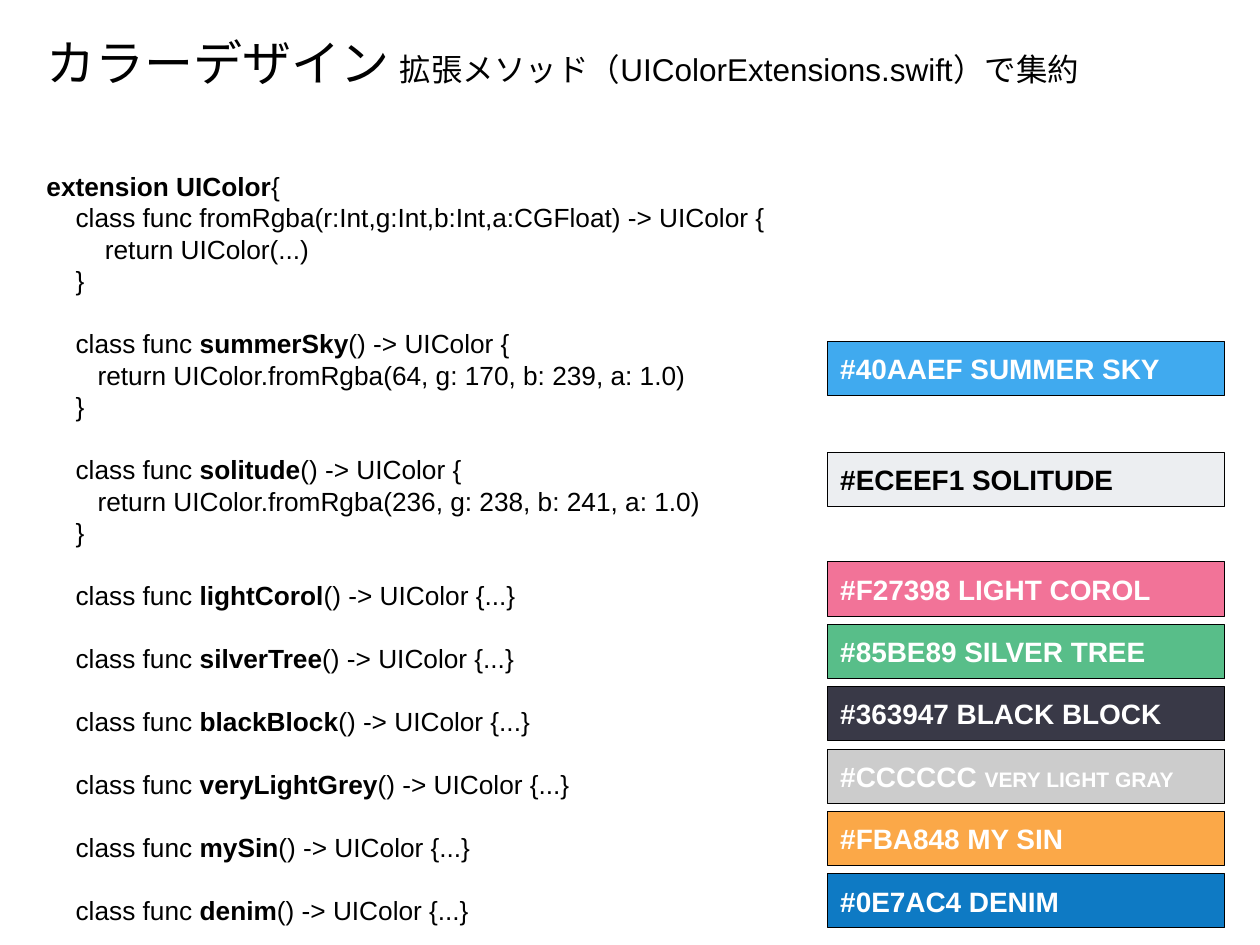
from dataclasses import dataclass

from pptx import Presentation
from pptx.dml.color import RGBColor
from pptx.enum.shapes import MSO_SHAPE
from pptx.enum.text import MSO_ANCHOR, PP_ALIGN
from pptx.slide import Slide
from pptx.text.text import TextFrame, _Paragraph
from pptx.util import Inches, Pt

BLACK, WHITE = "000000", "FFFFFF"
CODE_SIZE, LINE_PITCH, SPACE_WIDTH = 15, 18, 0.058
LEFT, TEXT_WIDTH = 0.27, 9.45
SWATCH_LEFT, SWATCH_WIDTH, SWATCH_HEIGHT = 6.57, 3.15, 0.43
STACK_TOP, STACK_PITCH = 4.46, 0.495


@dataclass
class CodeLine:
    indent: int
    plain: str = ""
    bold: str = ""
    rest: str = ""
    gap: bool = False


@dataclass
class Swatch:
    top: float
    fill: str
    code: str
    name: str
    color: str = WHITE
    name_size: int = 16


def method(name: str, body: str = "{...}") -> CodeLine:
    return CodeLine(4, "class func ", name, f"() -> UIColor {body}", gap=True)


def color_method(name: str, rgb: str) -> list[CodeLine]:
    return [
        method(name, "{"),
        CodeLine(7, f"return UIColor.fromRgba({rgb}, a: 1.0)"),
        CodeLine(4, "}"),
    ]


CODE = [
    CodeLine(0, bold="extension UIColor", rest="{"),
    CodeLine(4, "class func fromRgba(r:Int,g:Int,b:Int,a:CGFloat) -> UIColor {"),
    CodeLine(8, "return UIColor(...)"),
    CodeLine(4, "}"),
    *color_method("summerSky", "64, g: 170, b: 239"),
    *color_method("solitude", "236, g: 238, b: 241"),
    *map(method, ("lightCorol", "silverTree", "blackBlock", "veryLightGrey", "mySin", "denim")),
]

STACK = [
    ("F27398", "#F27398", "LIGHT COROL", 16),
    ("58BE89", "#85BE89", "SILVER TREE", 16),
    ("393947", "#363947", "BLACK BLOCK", 16),
    ("CCCCCC", "#CCCCCC", "VERY LIGHT GRAY", 12),
    ("FBA848", "#FBA848", "MY SIN", 16),
    ("0E7AC4", "#0E7AC4", "DENIM", 16),
]

SWATCHES = [
    Swatch(2.71, "40AAEF", "#40AAEF", "SUMMER SKY"),
    Swatch(3.59, "ECEEF1", "#ECEEF1", "SOLITUDE", BLACK),
    *(
        Swatch(STACK_TOP + i * STACK_PITCH, fill, code, name, name_size=size)
        for i, (fill, code, name, size) in enumerate(STACK)
    ),
]


def rgb(value: str) -> RGBColor:
    return RGBColor.from_string(value)


def add_run(p: _Paragraph, text: str, size: int, bold: bool = False, color: str = BLACK) -> None:
    r = p.add_run()
    r.text = text
    r.font.name = "Arial"
    r.font.size = Pt(size)
    r.font.bold = bold
    r.font.color.rgb = rgb(color)


def add_text_box(s: Slide, top: float, height: float) -> TextFrame:
    box = s.shapes.add_textbox(Inches(LEFT), Inches(top), Inches(TEXT_WIDTH), Inches(height))
    tf = box.text_frame
    tf.word_wrap = True
    return tf


def add_title(s: Slide) -> None:
    p = add_text_box(s, 0.21, 0.57).paragraphs[0]
    add_run(p, "カラーデザイン ", 28)
    add_run(p, "拡張メソッド（UIColorExtensions.swift）で集約", 18)


def add_code(s: Slide, lines: list[CodeLine]) -> None:
    tf = add_text_box(s, 1.3, 6.41)
    for i, line in enumerate(lines):
        p = tf.add_paragraph() if i else tf.paragraphs[0]
        p.line_spacing = Pt(LINE_PITCH)
        p.space_before = Pt(LINE_PITCH if line.gap else 0)
        pPr = p._p.get_or_add_pPr()
        pPr.set("marL", str(Inches(line.indent * SPACE_WIDTH)))
        pPr.set("indent", "0")
        for text, bold in ((line.plain, False), (line.bold, True), (line.rest, False)):
            if text:
                add_run(p, text, CODE_SIZE, bold)


def add_swatch(s: Slide, swatch: Swatch) -> None:
    sp = s.shapes.add_shape(
        MSO_SHAPE.RECTANGLE,
        Inches(SWATCH_LEFT),
        Inches(swatch.top),
        Inches(SWATCH_WIDTH),
        Inches(SWATCH_HEIGHT),
    )
    sp.shadow.inherit = False
    sp.fill.solid()
    sp.fill.fore_color.rgb = rgb(swatch.fill)
    sp.line.color.rgb = rgb(BLACK)
    sp.line.width = Pt(0.5)
    tf = sp.text_frame
    tf.vertical_anchor = MSO_ANCHOR.MIDDLE
    p = tf.paragraphs[0]
    p.alignment = PP_ALIGN.LEFT
    add_run(p, f"{swatch.code} ", 16, True, swatch.color)
    add_run(p, swatch.name, swatch.name_size, True, swatch.color)


def main() -> None:
    """Build the slide that pairs the colour extension code with its swatches."""
    prs = Presentation()
    prs.slide_width, prs.slide_height = Inches(10), Inches(7.5)
    s = prs.slides.add_slide(prs.slide_layouts[6])
    add_title(s)
    add_code(s, CODE)
    for swatch in SWATCHES:
        add_swatch(s, swatch)
    prs.save("out.pptx")


if __name__ == "__main__":
    main()
